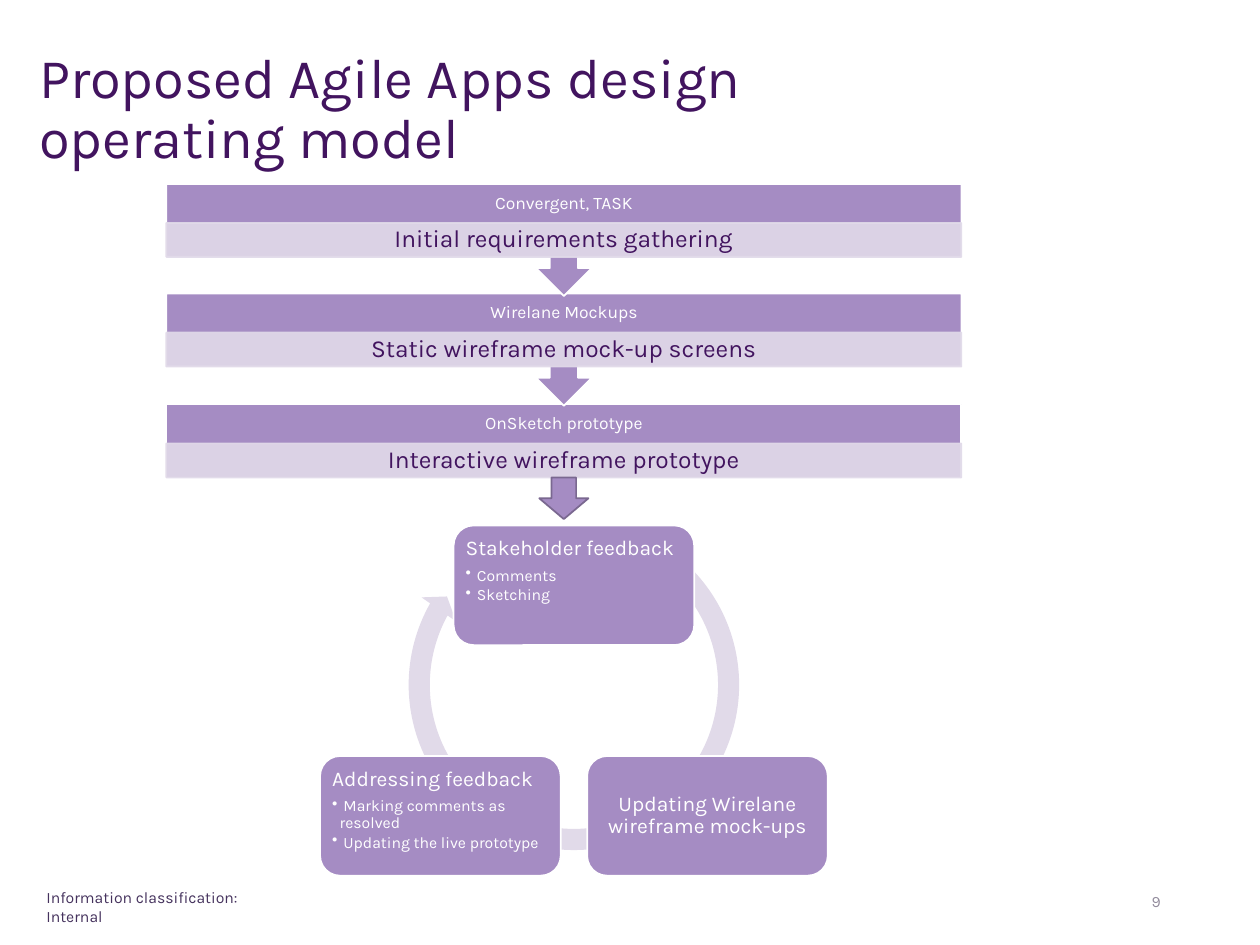
from lxml import etree
from pptx import Presentation
from pptx import util as u
from pptx.dml.color import RGBColor
from pptx.enum import shapes, text
from pptx.oxml import ns

FONT = "Karla"
COLORS = {
    "title": "42145F",
    "footer": "45325D",
    "number": "938C9D",
    "purple": "A58CC3",
    "outline": "7A6890",
    "lilac": "E1DAE9",
    "white": "FFFFFF",
}
SHAPE = shapes.MSO_SHAPE
LEFT, CENTER, RIGHT = text.PP_ALIGN.LEFT, text.PP_ALIGN.CENTER, text.PP_ALIGN.RIGHT
TOP, MIDDLE = text.MSO_ANCHOR.TOP, text.MSO_ANCHOR.MIDDLE

STAGE_LEFT, STAGE_WIDTH = 1.32, 6.31
STAGES = [  # top, shape, height, tool, activity
    (1.46, SHAPE.UP_ARROW_CALLOUT, 0.89, "Convergent, TASK", "Initial requirements gathering"),
    (2.33, SHAPE.UP_ARROW_CALLOUT, 0.89, "Wirelane Mockups", "Static wireframe mock-up screens"),
    (3.21, SHAPE.RECTANGLE, 0.58, "OnSketch prototype", "Interactive wireframe prototype"),
]
CARDS = [  # left, top, heading, bullets
    (3.6, 4.17, "Stakeholder feedback", ["Comments", "Sketching"]),
    (4.66, 6, "Updating Wirelane wireframe mock-ups", []),
    (2.54, 6, "Addressing feedback",
     ["Marking comments as resolved", "Updating the live prototype"]),
]


def rgb(name):
    return RGBColor.from_string(COLORS[name])


def inches(*values):
    return [u.Inches(value) for value in values]


def write_text(frame, content, size, color, align=LEFT, anchor=TOP, insets=(0.1, 0.05),
               line_spacing=1.0, space_after=0.0, bullet=False, append=False):
    """Write one paragraph; space_after is a share of the text size."""
    frame.word_wrap = True
    frame.auto_size = text.MSO_AUTO_SIZE.NONE
    frame.vertical_anchor = anchor
    frame.margin_left = frame.margin_right = u.Inches(insets[0])
    frame.margin_top = frame.margin_bottom = u.Inches(insets[1])
    paragraph = frame.add_paragraph() if append else frame.paragraphs[0]
    paragraph.alignment = align
    paragraph.line_spacing = line_spacing
    paragraph.space_before = u.Pt(0)
    paragraph.space_after = u.Pt(size * space_after)
    if bullet:
        paragraph.level = 1
        properties = paragraph._p.get_or_add_pPr()
        properties.set("marL", str(u.Inches(0.06)))
        properties.set("indent", str(u.Inches(-0.06)))
        etree.SubElement(properties, ns.qn("a:buChar")).set("char", "•")
    run = paragraph.add_run()
    run.text = content
    run.font.name = FONT
    run.font.size = u.Pt(size)
    run.font.color.rgb = rgb(color)


def add_text_box(slide, box, content, **text_format):
    frame = slide.shapes.add_textbox(*inches(*box)).text_frame
    write_text(frame, content, **text_format)


def add_filled_shape(slide, kind, box, fill, line=None, opacity=None):
    shape = slide.shapes.add_shape(kind, *inches(*box))
    shape.shadow.inherit = False
    shape.fill.solid()
    shape.fill.fore_color.rgb = rgb(fill)
    if line:
        shape.line.color.rgb = rgb(line)
        shape.line.width = u.Pt(1)
    else:
        shape.line.fill.background()
    if opacity:
        for color in shape._element.spPr.iter(ns.qn("a:srgbClr")):
            etree.SubElement(color, ns.qn("a:alpha")).set("val", str(opacity * 1000))
    return shape


def add_stage(slide, top, kind, height, tool, activity):
    block = add_filled_shape(slide, kind, (STAGE_LEFT, top, STAGE_WIDTH, height),
                             "purple", "white")
    if kind == SHAPE.UP_ARROW_CALLOUT:
        block.rotation = 180
    add_text_box(slide, (STAGE_LEFT, top, STAGE_WIDTH, 0.31), tool, size=10, color="white",
                 align=CENTER, anchor=MIDDLE, insets=(0.08, 0.08), line_spacing=0.9)
    bar = add_filled_shape(slide, SHAPE.RECTANGLE, (STAGE_LEFT, top + 0.31, STAGE_WIDTH, 0.27),
                           "lilac", "lilac", opacity=90)
    write_text(bar.text_frame, activity, size=14, color="title", align=CENTER,
               anchor=MIDDLE, insets=(0.11, 0.02), line_spacing=0.9)


def add_card(slide, left, top, heading, bullets):
    card = add_filled_shape(slide, SHAPE.ROUNDED_RECTANGLE, (left, top, 1.91, 0.95),
                            "purple", "white")
    layout = {"color": "white", "insets": (0.05, 0.05), "line_spacing": 0.9,
              "align": LEFT if bullets else CENTER, "anchor": TOP if bullets else MIDDLE}
    write_text(card.text_frame, heading, size=12, space_after=0.35 if bullets else 0, **layout)
    for item in bullets:
        write_text(card.text_frame, "\u00a0" + item, size=9, space_after=0.15,
                   bullet=True, append=True, **layout)


def add_cycle_arrow(slide):
    arrow = add_filled_shape(slide, SHAPE.CIRCULAR_ARROW, (3.16, 4.04, 2.79, 2.79), "lilac")
    # Angles are in 60000ths of a degree, scaled by 100000
    degree = 0.6
    for index, value in enumerate((0.06, 5.67 * degree, 209.17 * degree,
                                   302.98 * degree, 0.06)):
        arrow.adjustments[index] = value


def main():
    presentation = Presentation()
    presentation.slide_width, presentation.slide_height = inches(10, 7.5)
    slide = presentation.slides.add_slide(presentation.slide_layouts[5])

    # Title, footer and slide number
    title = slide.shapes.title
    title.left, title.top, title.width, title.height = inches(0.21, 0.15, 7.8, 1.45)
    write_text(title.text_frame, "Proposed Agile Apps design operating model",
               size=32, color="title", anchor=MIDDLE, line_spacing=0.9)
    add_text_box(slide, (0.27, 7, 2.06, 0.25), "Information classiﬁcation: Internal",
                 size=9, color="footer")
    add_text_box(slide, (7.06, 6.95, 2.25, 0.4), "9", size=9, color="number",
                 align=RIGHT, anchor=MIDDLE)

    # Stages from the last up, so each arrow lies over the next stage
    for stage in reversed(STAGES):
        add_stage(slide, *stage)
    add_filled_shape(slide, SHAPE.DOWN_ARROW, (4.28, 3.79, 0.39, 0.33), "purple", "outline")

    # Feedback cycle
    add_cycle_arrow(slide)
    for card in CARDS:
        add_card(slide, *card)

    presentation.save("out.pptx")


if __name__ == "__main__":
    main()
